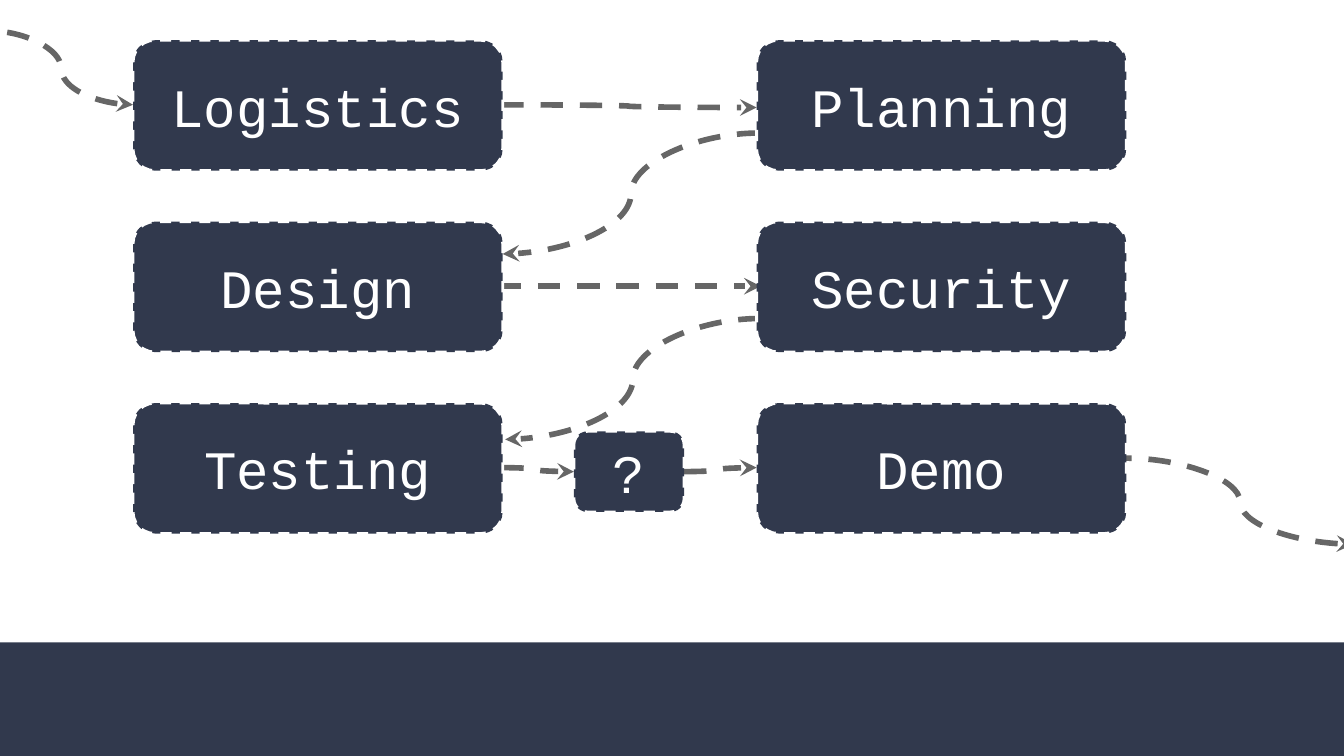
from lxml import etree
from pptx import Presentation
from pptx.dml.color import RGBColor
from pptx.enum.dml import MSO_LINE
from pptx.enum.shapes import MSO_CONNECTOR, MSO_SHAPE
from pptx.enum.text import MSO_ANCHOR, PP_ALIGN
from pptx.oxml.ns import qn
from pptx.util import Inches, Pt

NAVY = RGBColor(0x31, 0x39, 0x4D)
GRAY = RGBColor(0x66, 0x66, 0x66)
WHITE = RGBColor(0xFF, 0xFF, 0xFF)
DASH = MSO_LINE.DASH
CURVE = MSO_CONNECTOR.CURVE
RECTANGLE, ROUNDED = MSO_SHAPE.RECTANGLE, MSO_SHAPE.ROUNDED_RECTANGLE
CENTER, MIDDLE = PP_ALIGN.CENTER, MSO_ANCHOR.MIDDLE

LEFT, TOP = 0.99, 0.3
BOX_W, BOX_H = 2.75, 0.97
COL_STEP, ROW_STEP = 4.64, 1.35

prs = Presentation()
prs.slide_width = Inches(10)
prs.slide_height = Inches(10 * 9 / 16)
s = prs.slides.add_slide(prs.slide_layouts[6])


def add_block(kind, x, y, w, h):
    sp = s.shapes.add_shape(kind, Inches(x), Inches(y), Inches(w), Inches(h))
    sp.shadow.inherit = False
    sp.fill.solid()
    sp.fill.fore_color.rgb = NAVY
    sp.line.fill.background()
    return sp


def add_step(label, x, y, w, h):
    """Add a dashed rounded box with a centred label."""
    sp = add_block(ROUNDED, x, y, w, h)
    sp.line.color.rgb = WHITE
    sp.line.width = Pt(1.5)
    sp.line.dash_style = DASH
    tf = sp.text_frame
    tf.word_wrap = True
    tf.vertical_anchor = MIDDLE
    tf.margin_left = tf.margin_right = Inches(0.1)
    tf.margin_top = tf.margin_bottom = Inches(0.1)
    tf.text = label
    p = tf.paragraphs[0]
    p.alignment = CENTER
    font = p.runs[0].font
    font.name = "Courier New"
    font.size = Pt(29)
    font.color.rgb = WHITE


# Footer band
add_block(RECTANGLE, 0, 4.78, 10, 0.85)

# Arrows: start x, start y, end x, end y, end that carries the arrowhead
arrows = [
    (0.99, 0.78, -0.08, 0.23, "a:headEnd"),  # into Logistics
    (3.73, 0.78, 5.63, 0.8, "a:tailEnd"),    # Logistics to Planning
    (5.65, 0.99, 3.74, 1.89, "a:tailEnd"),   # Planning to Design
    (3.71, 2.13, 5.66, 2.13, "a:tailEnd"),   # Design to Security
    (5.66, 2.37, 3.76, 3.27, "a:tailEnd"),   # Security to Testing
    (3.73, 3.48, 4.27, 3.51, "a:tailEnd"),   # Testing to ?
    (5.09, 3.51, 5.63, 3.48, "a:tailEnd"),   # ? to Demo
    (10.07, 4.05, 8.38, 3.41, "a:headEnd"),  # out of Demo
]
for x1, y1, x2, y2, tip in arrows:
    arrow = s.shapes.add_connector(CURVE, Inches(x1), Inches(y1), Inches(x2), Inches(y2))
    arrow.line.color.rgb = GRAY
    arrow.line.width = Pt(3)
    arrow.line.dash_style = DASH
    ln = arrow.line._get_or_add_ln()
    etree.SubElement(ln, qn(tip), type="stealth")
    etree.SubElement(arrow._element.spPr, qn("a:effectLst"))

# Two-column grid of steps, with the open question between the last two
steps = ["Logistics", "Planning", "Design", "Security", "Testing", "Demo"]
for i, label in enumerate(steps):
    row, col = divmod(i, 2)
    add_step(label, LEFT + col * COL_STEP, TOP + row * ROW_STEP, BOX_W, BOX_H)
add_step("?", 4.27, 3.21, 0.82, 0.6)

prs.save("out.pptx")
